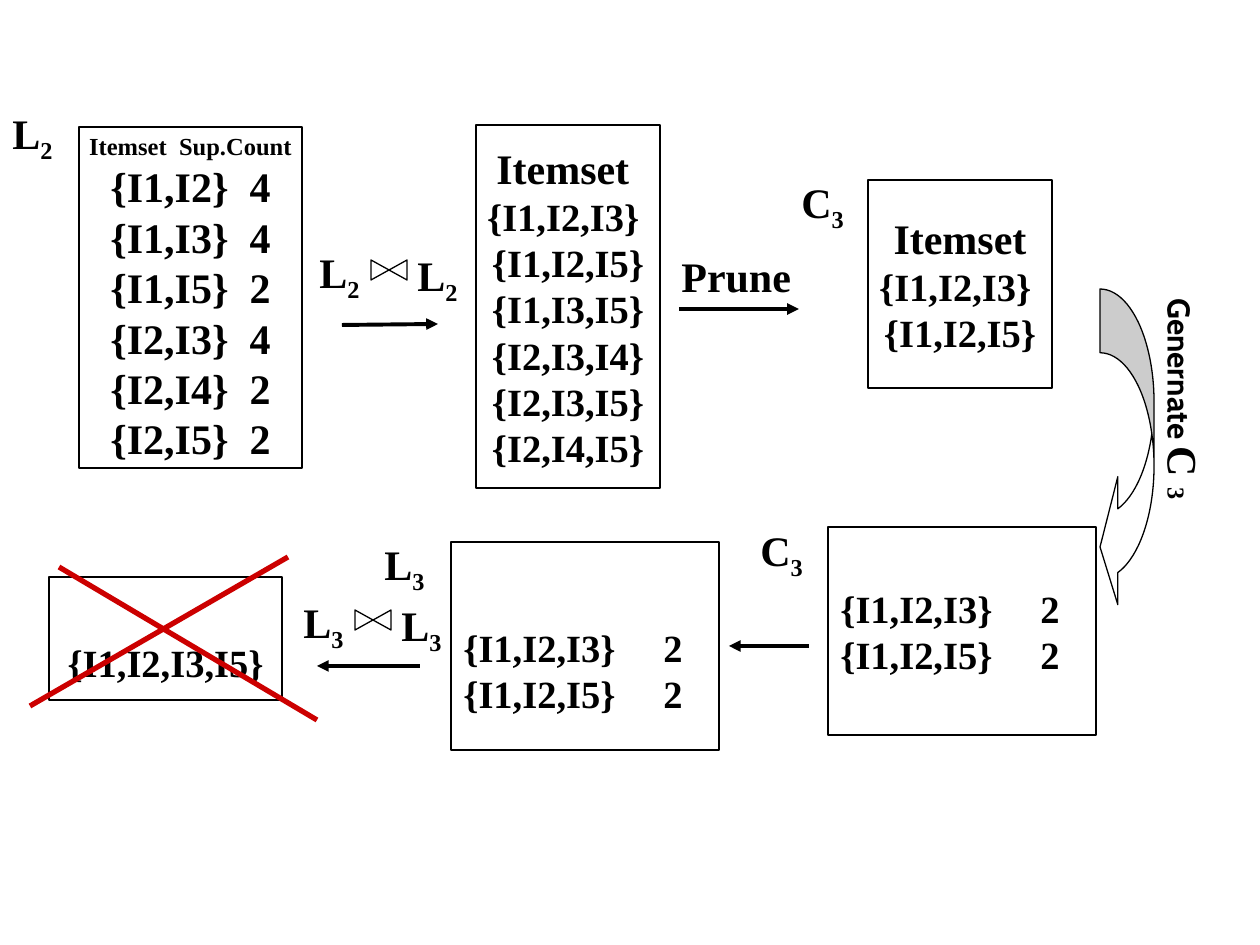
import pptx
import pptx.util
import pptx.dml.color
import pptx.enum.shapes
import pptx.enum.text
import pptx.oxml
import pptx.oxml.ns

SCALE = 914400 / 126
SERIF = "Times New Roman"
COLORS = {"ink": "000000", "paper": "FFFFFF", "cross": "CC0000"}
KINDS = pptx.enum.shapes.MSO_SHAPE
ALIGN = pptx.enum.text.PP_ALIGN
ANCHOR = pptx.enum.text.MSO_ANCHOR


def px(num):
    return pptx.util.Emu(round(num * SCALE))


def put(item, form):
    for name, value in form.items():
        setattr(item, name, value)


def tint(name):
    return pptx.dml.color.RGBColor.from_string(COLORS[name])


def node(parent, tag, **attrs):
    child = pptx.oxml.parse_xml(f"<{tag} {pptx.oxml.ns.nsdecls('a')}/>")
    for name, value in attrs.items():
        child.set(name, str(value))
    parent.append(child)
    return child


def write(para, text, size=24, font=SERIF, sub=False):
    run = para.add_run()
    run.text = text
    put(run.font, {"name": font, "size": pptx.util.Pt(size), "bold": True})
    run.font.color.rgb = tint("ink")
    if sub:
        run.font._element.set("baseline", "-25000")


def shape(shapes, kind, area, turn=0):
    item = shapes.add_shape(kind, *map(px, area))
    item.rotation = turn
    item.shadow.inherit = False
    item.fill.solid()
    item.fill.fore_color.rgb = tint("paper")
    item.line.color.rgb = tint("ink")
    item.line.width = pptx.util.Pt(0.75)
    return item


def panel(shapes, area, rows, align=ALIGN.CENTER, top=6, tab=None):
    frame = shape(shapes, KINDS.RECTANGLE, area).text_frame
    put(frame, {"word_wrap": tab is not None, "margin_top": px(top),
                "vertical_anchor": ANCHOR.MIDDLE})
    for spot, (text, size) in enumerate(rows):
        para = frame.add_paragraph() if spot else frame.paragraphs[0]
        para.alignment = align
        if tab:
            stops = node(para._p.get_or_add_pPr(), "a:tabLst")
            node(stops, "a:tab", pos=px(tab), algn="l")
        write(para, text, size)


def label(shapes, area, text, sub=""):
    frame = shapes.add_textbox(*map(px, area)).text_frame
    frame.word_wrap = False
    write(frame.paragraphs[0], text)
    if sub:
        write(frame.paragraphs[0], sub, sub=True)


def line(shapes, ends, color="ink", width=2.25, head=True):
    link = shapes.add_connector(pptx.enum.shapes.MSO_CONNECTOR.STRAIGHT, *map(px, ends))
    link.line.color.rgb = tint(color)
    link.line.width = pptx.util.Pt(width)
    if head:
        node(link.line._get_or_add_ln(), "a:tailEnd", type="triangle")
    node(link._element.spPr, "a:effectLst")


def join(shapes, left, top, sub):
    group = shapes.add_group_shape().shapes
    label(group, (left, top, 67, 63), "L", sub)
    for shift, turn in ((63, 90), (81, 270)):
        shape(group, KINDS.ISOSCELES_TRIANGLE, (left + shift, top + 21, 20, 18), turn)
    label(group, (left + 98, top + 3, 67, 63), "L", sub)


def curve(shapes):
    arrow = shape(shapes, KINDS.CURVED_LEFT_ARROW, (1100, 289, 54, 322))
    for spot, value in enumerate((1.18, 2.37, 0.33)):
        arrow.adjustments[spot] = value
    frame = shapes.add_textbox(*map(px, (1140, 286, 76, 315))).text_frame
    frame.word_wrap = True
    frame._txBody.bodyPr.set("vert", "eaVert")
    para = frame.paragraphs[0]
    write(para, "Genernate ", 18, "Cabin")
    write(para, "C")
    write(para, "3", sub=True)


def main():
    deck = pptx.Presentation()
    put(deck, {"slide_width": px(1260), "slide_height": px(945)})
    shapes = deck.slides.add_slide(deck.slide_layouts[6]).shapes

    pairs = ["{I1,I2}  4", "{I1,I3}  4", "{I1,I5}  2",
             "{I2,I3}  4", "{I2,I4}  2", "{I2,I5}  2"]
    panel(shapes, (79, 127, 223, 341),
          [("Itemset  Sup.Count", 14)] + [(text, 24) for text in pairs])
    sets = ["{I1,I2,I3} ", "{I1,I2,I5}", "{I1,I3,I5}",
            "{I2,I3,I4}", "{I2,I3,I5}", "{I2,I4,I5}"]
    trios = [(text, 22) for text in sets]
    panel(shapes, (476, 125, 184, 363), [("Itemset ", 24)] + trios)
    panel(shapes, (868, 180, 184, 208), [("Itemset", 24)] + trios[:2])

    counts = [("{I1,I2,I3}\t2", 22), ("{I1,I2,I5}\t2", 22)]
    for area, top in (((828, 527, 268, 208), 6), ((451, 542, 268, 208), 54)):
        panel(shapes, area, counts, ALIGN.LEFT, top, 200)
    panel(shapes, (49, 577, 233, 123), [("{I1,I2,I3,I5}", 22)], top=54)

    for area, text, sub in (
        ((0, 101, 67, 63), "L", "2"),
        ((789, 170, 69, 63), "C", "3"),
        ((748, 518, 69, 63), "C", "3"),
        ((372, 532, 67, 63), "L", "3"),
        ((669, 244, 135, 63), "Prune", ""),
    ):
        label(shapes, area, text, sub)

    join(shapes, 307, 240, "2")
    join(shapes, 291, 590, "3")
    for ends in ((342, 325, 438, 324), (679, 309, 799, 309),
                 (809, 646, 729, 646), (420, 666, 317, 666)):
        line(shapes, ends)
    curve(shapes)

    cross = shapes.add_group_shape().shapes
    for ends in ((59, 567, 317, 720), (288, 557, 30, 706)):
        line(cross, ends, "cross", 3, False)
    deck.save("out.pptx")


if __name__ == "__main__":
    main()
